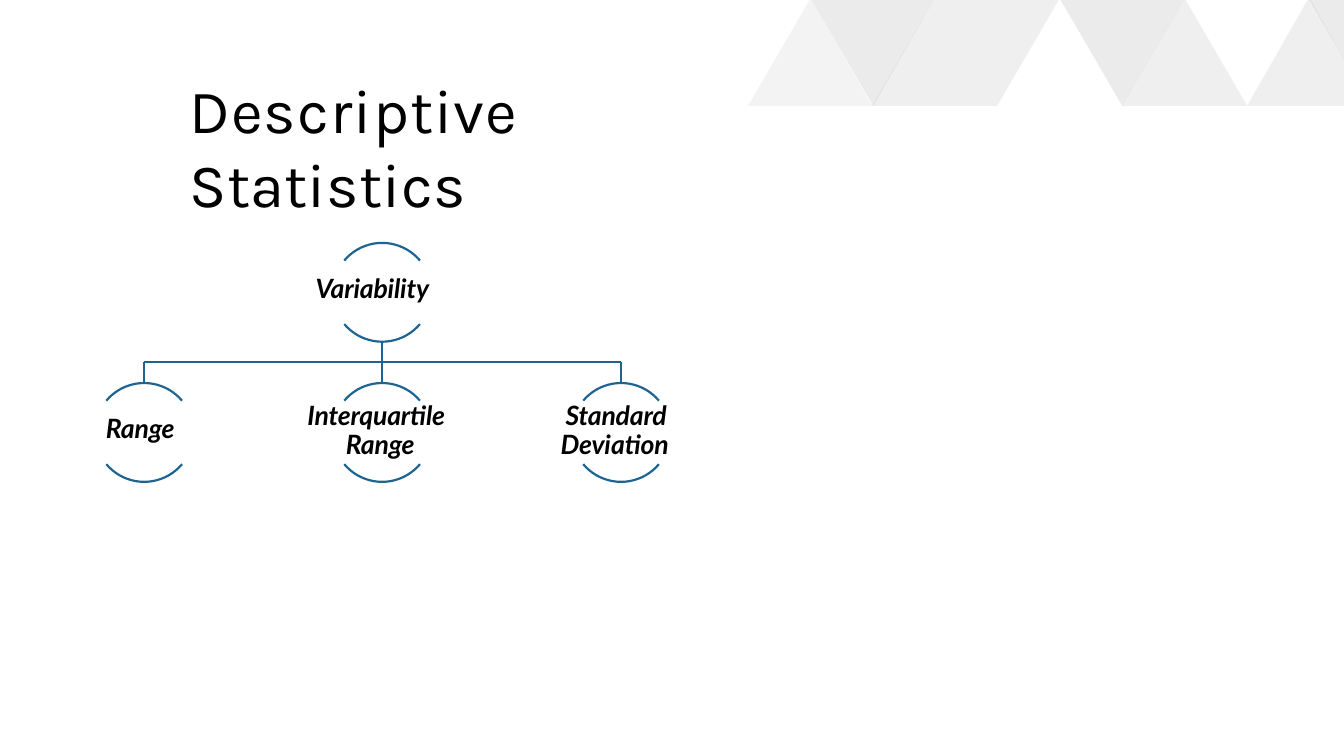
from math import cos, radians, sin

from lxml.etree import SubElement
from pptx import Presentation
from pptx.dml.color import RGBColor
from pptx.enum.shapes import MSO_CONNECTOR
from pptx.enum.text import MSO_ANCHOR, MSO_AUTO_SIZE, PP_ALIGN
from pptx.oxml.ns import qn
from pptx.util import Inches, Pt

COLORS = {"light": "B1B1B1", "dark": "3E3E3E", "line": "1E6492", "text": "000000"}


def add_outline(slide, contours, close):
    builder = None
    for contour in contours:
        points = [(Inches(x), Inches(y)) for x, y in contour]
        if builder is None:
            builder = slide.shapes.build_freeform(*points[0], scale=1.0)
        else:
            builder.move_to(*points[0])
        builder.add_line_segments(points[1:], close=close)
    shape = builder.convert_to_shape()
    shape.shadow.inherit = False
    return shape


def write_text(shape, runs, font_name, size, bold, space_before, top_inset, margin, indent):
    frame = shape.text_frame
    frame.word_wrap = True
    frame.auto_size = MSO_AUTO_SIZE.SHAPE_TO_FIT_TEXT
    frame.vertical_anchor = MSO_ANCHOR.TOP
    frame.margin_left = frame.margin_right = frame.margin_bottom = 0
    frame.margin_top = Inches(top_inset)
    paragraph = frame.paragraphs[0]
    paragraph.alignment = PP_ALIGN.LEFT
    paragraph.space_before = Pt(space_before)
    properties = paragraph._p.get_or_add_pPr()
    properties.set("marL", str(Inches(margin)))
    properties.set("indent", str(Inches(indent)))
    for text, spacing in runs:
        run = paragraph.add_run()
        run.text = text
        run.font.name = font_name
        run.font.size = Pt(size)
        run.font.bold = run.font.italic = bold
        run.font.color.rgb = RGBColor.from_string(COLORS["text"])
        run._r.get_or_add_rPr().set("spc", str(round(spacing * 100)))
    return paragraph


presentation = Presentation()
presentation.slide_width = Inches(13.33)
presentation.slide_height = Inches(7.5)
slide = presentation.slides.add_slide(presentation.slide_layouts[5])

band = 1.05
triangles = [
    ("light", 15, [[(8.05, 0), (8.03, 0), (7.42, band), (8.65, band)]]),
    ("dark", 10, [[(9.26, 0), (8.05, 0), (8.66, band)]]),
    ("light", 20, [
        [(9.89, band), (9.29, 0), (9.26, 0), (8.65, band)],
        [(10.5, 0), (9.29, 0), (9.89, band)],
    ]),
    ("dark", 10, [[(11.74, 0), (10.52, 0), (11.13, band)]]),
    ("light", 20, [
        [(12.37, band), (11.76, 0), (11.74, 0), (11.13, band)],
        [(13.33, 0.59), (13, 0), (12.97, 0), (12.37, band), (13.33, band)],
    ]),
    ("dark", 10, [[(13.33, 0), (12.99, 0), (13.33, 0.59)]]),
]
for color, opacity, contours in triangles:
    triangle = add_outline(slide, contours, True)
    triangle.fill.solid()
    triangle.fill.fore_color.rgb = RGBColor.from_string(COLORS[color])
    fill_color = triangle._element.spPr.find(qn("a:solidFill"))[0]
    SubElement(fill_color, qn("a:alpha")).set("val", str(opacity * 1000))
    triangle.line.fill.background()

title = slide.shapes.title
title.left, title.top, title.width, title.height = map(Inches, (1.87, 0.7, 5.87, 0.76))
write_text(title, [("Descriptive ", 0.8), ("Statistics", 0.2)], "Karla", 44, False, 1.1, 0.01, 0.01, 0)

left_x, middle_x, right_x = 1.43, 3.79, 6.16
parent_y, child_y, branch_y, radius = 2.9, 4.29, 3.59, 0.49
parent_bottom, child_top = parent_y + radius, child_y - radius

branches = [
    (middle_x, parent_bottom, middle_x, child_top),
    (left_x, branch_y, right_x, branch_y),
    (left_x, branch_y, left_x, child_top),
    (right_x, branch_y, right_x, child_top),
]
for branch in branches:
    connector = slide.shapes.add_connector(MSO_CONNECTOR.STRAIGHT, *map(Inches, branch))
    connector.line.color.rgb = RGBColor.from_string(COLORS["line"])
    connector.line.width = Pt(1.56)
    SubElement(connector._element.spPr, qn("a:effectLst"))

nodes = [
    (middle_x, parent_y, (3.12, 2.69, 1.34, 0.34), [("Variability", -0.1)], None, 0.01, 0),
    (left_x, child_y, (1.04, 4.08, 0.76, 0.34), [("Range", -0.1)], None, 0.01, 0),
    (middle_x, child_y, (3.03, 3.94, 1.53, 0.63), [("Interquartile Range", -0.1)], 20.6, 0.4, -0.38),
    (right_x, child_y, (5.55, 3.94, 1.21, 0.63),
     [("Standard Devi", -0.1), ("a", 0), ("tion", -0.1)], 20.6, 0.01, 0.05),
]
for center_x, center_y, box, runs, line_spacing, margin, indent in nodes:
    for start in (40, 220):
        angles = [radians(start + step) for step in range(0, 101, 5)]
        points = [(center_x + radius * cos(a), center_y + radius * sin(a)) for a in angles]
        arc = add_outline(slide, [points], False)
        arc.fill.background()
        arc.line.color.rgb = RGBColor.from_string(COLORS["line"])
        arc.line.width = Pt(1.56)
    label = slide.shapes.add_textbox(*map(Inches, box))
    space_before, top_inset = (3.5, 0.05) if line_spacing else (0.9, 0.01)
    paragraph = write_text(label, runs, "Lato", 19, True, space_before, top_inset, margin, indent)
    if line_spacing:
        paragraph.line_spacing = Pt(line_spacing)

presentation.save("out.pptx")
